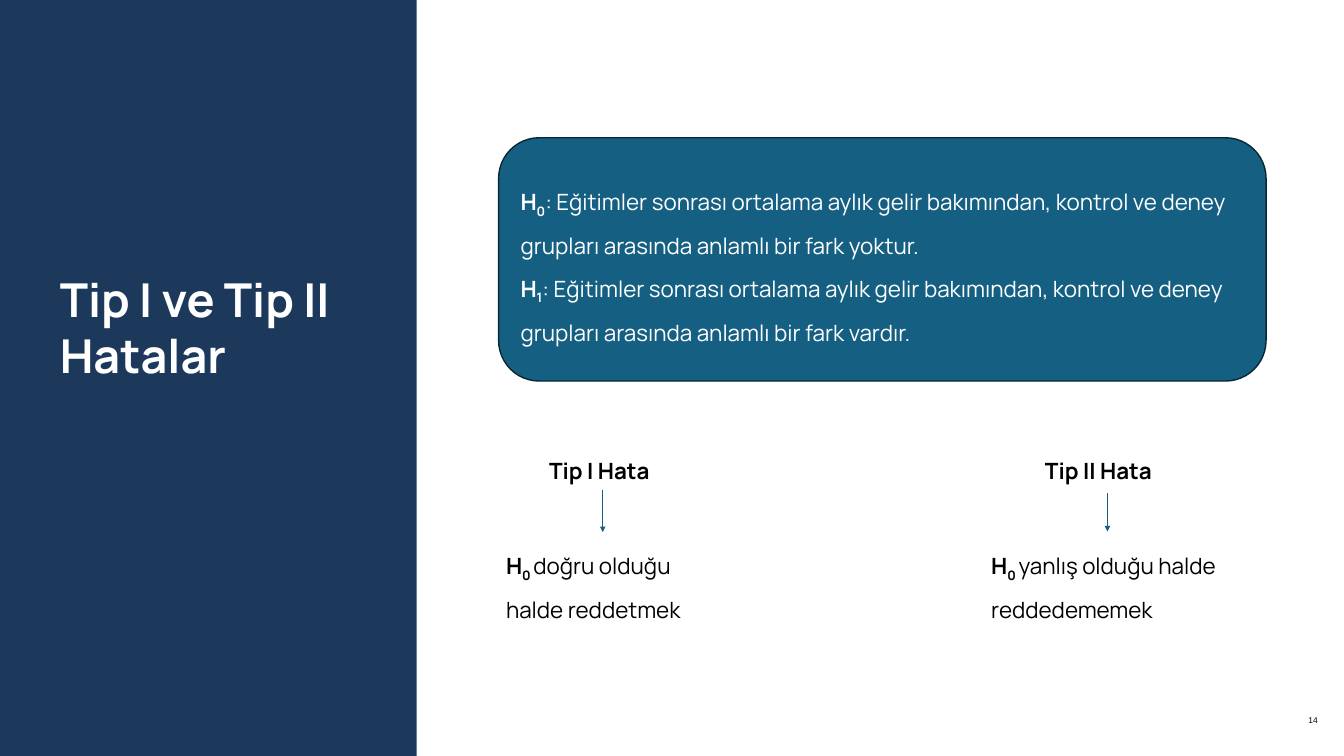
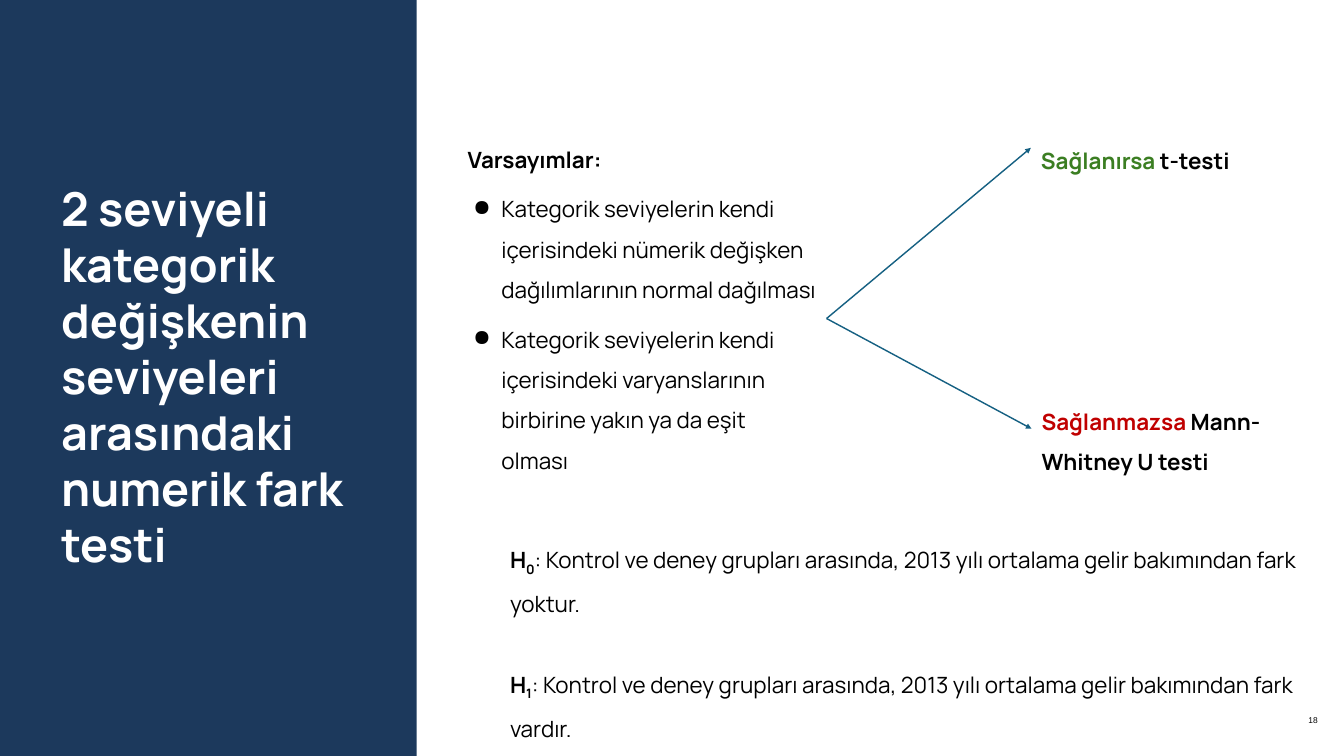
"""Build two Turkish slides on hypothesis errors and two-level difference tests."""
from lxml.etree import SubElement
from pptx import Presentation
from pptx.dml.color import RGBColor
from pptx.enum.shapes import MSO_CONNECTOR, MSO_SHAPE
from pptx.enum.text import MSO_ANCHOR, MSO_AUTO_SIZE, PP_ALIGN
from pptx.oxml.ns import qn
from pptx.util import Inches, Pt

STRAIGHT = MSO_CONNECTOR.STRAIGHT
RECTANGLE, ROUNDED = MSO_SHAPE.RECTANGLE, MSO_SHAPE.ROUNDED_RECTANGLE
TOP, MIDDLE = MSO_ANCHOR.TOP, MSO_ANCHOR.MIDDLE
LEFT, RIGHT = PP_ALIGN.LEFT, PP_ALIGN.RIGHT
FIXED, GROW = MSO_AUTO_SIZE.NONE, MSO_AUTO_SIZE.SHAPE_TO_FIT_TEXT
SITE_TOP, SITE_LEFT, SITE_BOTTOM, SITE_RIGHT = range(4)

COLORS = {
    "band": "1C395C", "accent": "156082", "outline": "082836",
    "white": "FFFFFF", "black": "000000", "green": "3B7E22", "red": "C00000",
}
FONT = "Manrope"
BODY_SIZE, TITLE_SIZE, NUMBER_SIZE = 24, 50, 9
BODY_INSETS = (0.15, 0.07)
WIDE_INSETS = (0.2, 0.2)
BAND = (0, -0.04, 6.2, 11.42)
NUMBER_BOX = (18.61, 10.28, 1.2, 0.86)
HYPOTHESIS_GAP = 41
BULLET_GAP = 10
BULLET_INDENT, BULLET_HANGING = 0.5, 0.42


def hypothesis(index, text):
    """Return the runs of a hypothesis with its subscript index."""
    return [("H", "bold"), (index, "sub"), (text, "plain")]


ERRORS = {
    "title": "Tip I ve Tip II Hatalar",
    "title_box": (0.69, 3.83, 5.49, 2.09),
    "number": "14",
    "panel_box": (7.42, 2.05, 11.42, 3.62),
    "panel": [
        hypothesis("0", ": Eğitimler sonrası ortalama aylık gelir bakımından, kontrol ve deney "
                        "grupları arasında anlamlı bir fark yoktur."),
        hypothesis("1", ": Eğitimler sonrası ortalama aylık gelir bakımından, kontrol ve deney "
                        "grupları arasında anlamlı bir fark vardır."),
    ],
    "types": [
        ("Tip I Hata", (8.02, 6.73, 1.9, 0.56),
         "doğru olduğu halde reddetmek", (7.38, 7.92, 3.18, 1.16), None),
        ("Tip II Hata", (15.4, 6.73, 2.04, 0.56),
         "yanlış olduğu halde reddedememek", (14.6, 7.92, 4.15, 1.16),
         (16.48, 7.34, 16.48, 7.91)),
    ],
}

TESTS = {
    "title": "2 seviyeli kategorik değişkenin seviyeleri arasındaki numerik fark testi",
    "title_box": (0.71, 2.48, 5.49, 6.3),
    "number": "18",
    "assumptions_box": (6.81, 1.9, 5.49, 5.68),
    "heading": "Varsayımlar:",
    "assumptions": [
        "Kategorik seviyelerin kendi içerisindeki nümerik değişken dağılımlarının normal dağılması",
        "Kategorik seviyelerin kendi içerisindeki varyanslarının birbirine yakın ya da eşit olması",
    ],
    "outcomes": [
        ([("Sağlanırsa ", "green"), ("t-testi", "bold")], (15.34, 1.92, 3.46, 0.56)),
        ([("Sağlanmazsa ", "red"), ("Mann-Whitney U testi", "bold")], (15.35, 5.8, 4.13, 1.16)),
    ],
    "hypotheses_box": (7.44, 7.83, 12.04, 2.98),
    "hypotheses": [
        hypothesis("0", ": Kontrol ve deney grupları arasında, 2013 yılı ortalama gelir "
                        "bakımından fark yoktur."),
        hypothesis("1", ": Kontrol ve deney grupları arasında, 2013 yılı ortalama gelir "
                        "bakımından fark vardır."),
    ],
}


def color(name):
    return RGBColor.from_string(COLORS[name])


def inches(box):
    return [Inches(value) for value in box]


def format_frame(frame, insets, anchor=TOP, auto_size=GROW):
    frame.word_wrap = True
    frame.auto_size = auto_size
    frame.vertical_anchor = anchor
    frame.margin_left = frame.margin_right = Inches(insets[0])
    frame.margin_top = frame.margin_bottom = Inches(insets[1])


def format_paragraph(paragraph, size=BODY_SIZE, tint="black", font=FONT, bold=None, align=LEFT):
    paragraph.alignment = align
    paragraph.font.size = Pt(size)
    paragraph.font.name = font
    paragraph.font.bold = bold
    paragraph.font.color.rgb = color(tint)


def add_bullet(paragraph):
    properties = paragraph._p.get_or_add_pPr()
    properties.set("marL", str(Inches(BULLET_INDENT)))
    properties.set("indent", str(-Inches(BULLET_HANGING)))
    bullet_color = SubElement(properties, qn("a:buClr"))
    SubElement(bullet_color, qn("a:srgbClr"), val=COLORS["black"])
    SubElement(properties, qn("a:buChar"), char="●")


def write(frame, paragraphs, spacing=1.5, gap=0, tint="black", bulleted=False):
    """Fill a frame with paragraphs of (text, style) runs."""
    for index, runs in enumerate(paragraphs):
        paragraph = frame.add_paragraph() if index else frame.paragraphs[0]
        paragraph.line_spacing = spacing
        if index:
            paragraph.space_before = Pt(gap)
            if bulleted:
                add_bullet(paragraph)
        format_paragraph(paragraph, tint=tint)
        for text, style in runs:
            run = paragraph.add_run()
            run.text = text
            run.font.bold = style != "plain"
            if style == "sub":
                run._r.get_or_add_rPr().set("baseline", "-25000")
            elif style in COLORS:
                run.font.color.rgb = color(style)


def add_text(slide, box, paragraphs, **options):
    shape = slide.shapes.add_textbox(*inches(box))
    format_frame(shape.text_frame, BODY_INSETS)
    write(shape.text_frame, paragraphs, **options)
    return shape


def add_block(slide, preset, box, fill, outline=None):
    shape = slide.shapes.add_shape(preset, *inches(box))
    shape.shadow.inherit = False
    shape.fill.solid()
    shape.fill.fore_color.rgb = color(fill)
    if outline:
        shape.line.color.rgb = color(outline)
        shape.line.width = Pt(1.5)
    else:
        shape.line.fill.background()
    return shape


def add_arrow(slide, ends=(0, 0, 0, 0), start=None, finish=None):
    """Draw an arrow between points, or between (shape, site) pairs."""
    arrow = slide.shapes.add_connector(STRAIGHT, *inches(ends))
    if start:
        arrow.begin_connect(*start)
        arrow.end_connect(*finish)
    arrow.line.color.rgb = color("accent")
    arrow.line.width = Pt(1.5)
    SubElement(arrow.line._get_or_add_ln(), qn("a:tailEnd"), type="triangle")
    SubElement(arrow._element.spPr, qn("a:effectLst"))


def add_base_slide(presentation, content):
    """Add a slide with the side band, title and slide number."""
    slide = presentation.slides.add_slide(presentation.slide_layouts[5])
    add_block(slide, RECTANGLE, BAND, "band")
    title = slide.shapes.title
    slide.shapes._spTree.append(title._element)
    title.left, title.top, title.width, title.height = inches(content["title_box"])
    title.text_frame.text = content["title"]
    format_frame(title.text_frame, WIDE_INSETS, auto_size=FIXED)
    format_paragraph(title.text_frame.paragraphs[0], TITLE_SIZE, "white", bold=True)
    number = slide.shapes.add_textbox(*inches(NUMBER_BOX))
    number.text_frame.text = content["number"]
    format_frame(number.text_frame, WIDE_INSETS, MIDDLE, FIXED)
    format_paragraph(number.text_frame.paragraphs[0], NUMBER_SIZE, font="Arial", align=RIGHT)
    return slide


def build_errors(presentation):
    slide = add_base_slide(presentation, ERRORS)
    panel = add_block(slide, ROUNDED, ERRORS["panel_box"], "accent", "outline")
    format_frame(panel.text_frame, BODY_INSETS, MIDDLE, FIXED)
    write(panel.text_frame, ERRORS["panel"], tint="white")
    for name, name_box, meaning, meaning_box, ends in ERRORS["types"]:
        label = add_text(slide, name_box, [[(name, "bold")]], spacing=1.0)
        runs = [("H", "bold"), ("0 ", "sub"), (meaning, "plain")]
        description = add_text(slide, meaning_box, [runs])
        if ends:
            add_arrow(slide, ends)
        else:
            add_arrow(slide, start=(label, SITE_BOTTOM), finish=(description, SITE_TOP))


def build_tests(presentation):
    slide = add_base_slide(presentation, TESTS)
    paragraphs = [[(TESTS["heading"], "bold")]]
    paragraphs += [[(text, "plain")] for text in TESTS["assumptions"]]
    assumptions = add_text(slide, TESTS["assumptions_box"], paragraphs,
                           gap=BULLET_GAP, bulleted=True)
    for runs, box in TESTS["outcomes"]:
        outcome = add_text(slide, box, [runs])
        add_arrow(slide, start=(assumptions, SITE_RIGHT), finish=(outcome, SITE_LEFT))
    add_text(slide, TESTS["hypotheses_box"], TESTS["hypotheses"], gap=HYPOTHESIS_GAP)


def main():
    presentation = Presentation()
    presentation.slide_width, presentation.slide_height = inches((20, 11.25))
    build_errors(presentation)
    build_tests(presentation)
    presentation.save("out.pptx")


if __name__ == "__main__":
    main()
